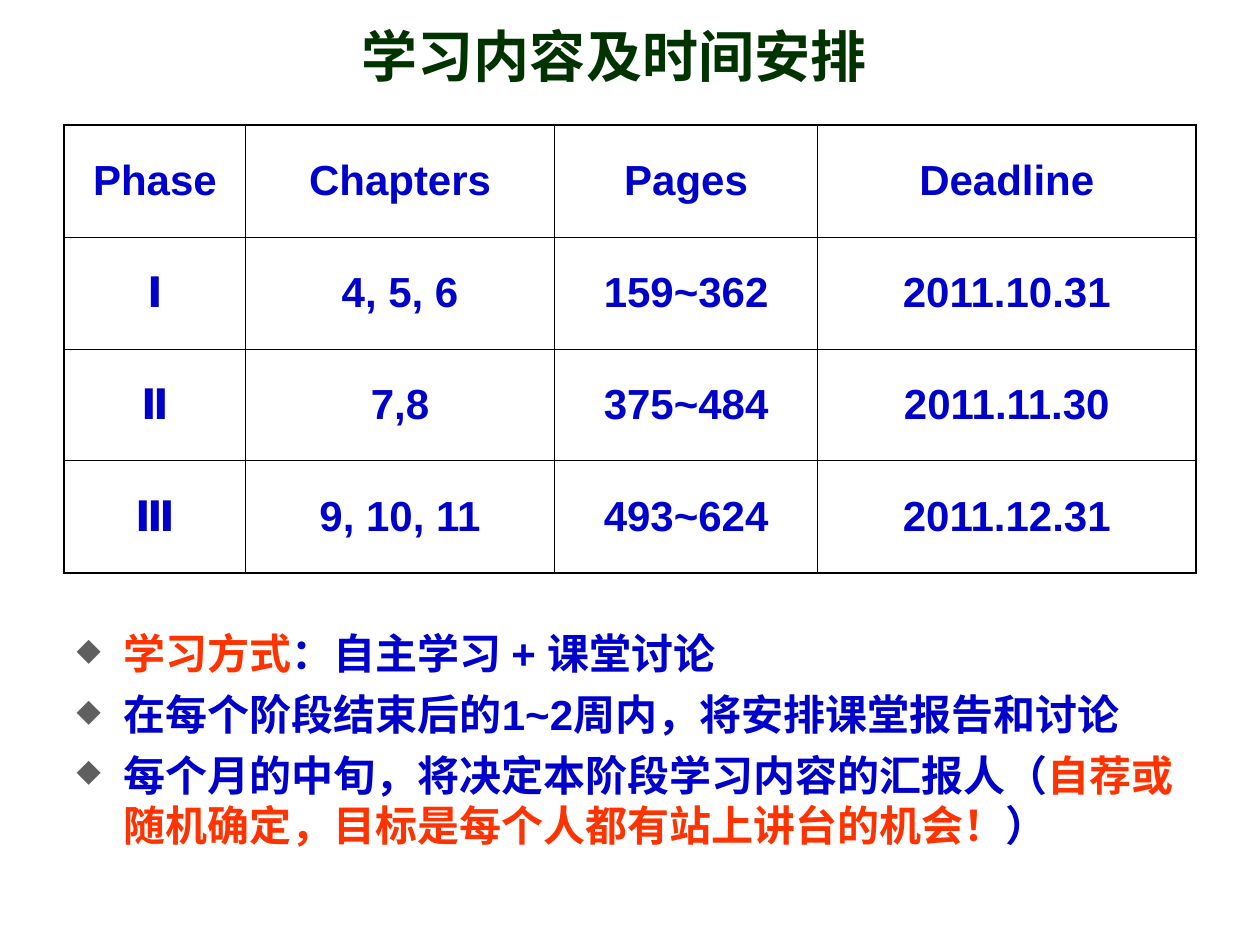
from lxml import etree
from pptx import Presentation
from pptx.dml.color import RGBColor
from pptx.enum.text import MSO_ANCHOR, PP_ALIGN
from pptx.oxml.ns import qn
from pptx.util import Pt

CENTER = PP_ALIGN.CENTER
LEFT = PP_ALIGN.LEFT
MIDDLE = MSO_ANCHOR.MIDDLE
BOTTOM = MSO_ANCHOR.BOTTOM
TOP = MSO_ANCHOR.TOP

GREEN = RGBColor(0x00, 0x33, 0x00)
BLUE = RGBColor(0x00, 0x00, 0xCC)
RED = RGBColor(0xFF, 0x33, 0x00)
GRAY = RGBColor(0x5F, 0x5F, 0x5F)
BLACK = RGBColor(0x00, 0x00, 0x00)

MARGIN = 36.7
COLUMN_WIDTHS = [103.7, 176.4, 150.5, 216]
CONTENT_WIDTH = sum(COLUMN_WIDTHS)
ROW_HEIGHT = 64
INDENT = 27
OUTER_LINE = 1.08
INNER_LINE = 0.45

SCHEDULE = [
    ["Phase", "Chapters", "Pages", "Deadline"],
    ["Ⅰ", "4, 5, 6", "159~362", "2011.10.31"],
    ["Ⅱ", "7,8", "375~484", "2011.11.30"],
    ["Ⅲ", "9, 10, 11", "493~624", "2011.12.31"],
]
NOTES = [
    [("学习方式", RED), ("：自主学习 + 课堂讨论", BLUE)],
    [("在每个阶段结束后的1~2周内，将安排课堂报告和讨论", BLUE)],
    [
        ("每个月的中旬，将决定本阶段学习内容的汇报人（", BLUE),
        ("自荐或随机确定，目标是每个人都有站上讲台的机会！", RED),
        ("）", BLUE),
    ],
]


def style_paragraph(para, size, font_name="Arial", align=LEFT):
    para.alignment = align
    para.font.size = Pt(size)
    para.font.name = font_name
    para.font.bold = True


def add_text_frame(page, left, top, width, height, anchor):
    box = page.shapes.add_textbox(Pt(left), Pt(top), Pt(width), Pt(height))
    frame = box.text_frame
    frame.word_wrap = True
    frame.vertical_anchor = anchor
    return frame


def add_title(page, text):
    para = add_text_frame(page, 57, 8.5, 588, 46, BOTTOM).paragraphs[0]
    para.text = text
    style_paragraph(para, 32, "Montserrat", CENTER)
    para.font.color.rgb = GREEN


def set_border(cell, side, width):
    properties = cell._tc.get_or_add_tcPr()
    line = etree.SubElement(properties, qn(f"a:ln{side}"), w=str(Pt(width)))
    fill = etree.SubElement(line, qn("a:solidFill"))
    etree.SubElement(fill, qn("a:srgbClr"), val=str(BLACK))


def fill_cell(cell, text, outer_sides):
    cell.vertical_anchor = MIDDLE
    para = cell.text_frame.paragraphs[0]
    para.text = text
    style_paragraph(para, 24, align=CENTER)
    para.font.color.rgb = BLUE
    for side in "LRTB":
        set_border(cell, side, OUTER_LINE if side in outer_sides else INNER_LINE)
    cell.fill.background()


def add_schedule(page, rows):
    row_count, column_count = len(rows), len(COLUMN_WIDTHS)
    frame = page.shapes.add_table(
        row_count, column_count, Pt(MARGIN), Pt(71.4),
        Pt(CONTENT_WIDTH), Pt(ROW_HEIGHT * row_count))
    table = frame.table
    table.horz_banding = False
    for column, width in zip(table.columns, COLUMN_WIDTHS):
        column.width = Pt(width)
    for r, values in enumerate(rows):
        table.rows[r].height = Pt(ROW_HEIGHT)
        for c, text in enumerate(values):
            edges = {"L": c == 0, "R": c == column_count - 1,
                     "T": r == 0, "B": r == row_count - 1}
            outer_sides = [side for side, outer in edges.items() if outer]
            fill_cell(table.cell(r, c), text, outer_sides)


def add_bullet(para):
    properties = para._p.get_or_add_pPr()
    properties.set("marL", str(Pt(INDENT)))
    properties.set("indent", str(-Pt(INDENT)))
    color = etree.SubElement(properties, qn("a:buClr"))
    etree.SubElement(color, qn("a:srgbClr"), val=str(GRAY))
    etree.SubElement(properties, qn("a:buSzPct"), val="75000")
    etree.SubElement(properties, qn("a:buChar"), char="◆")


def add_notes_list(page, notes):
    frame = add_text_frame(page, MARGIN, 355, CONTENT_WIDTH, 142, TOP)
    for index, spans in enumerate(notes):
        para = frame.add_paragraph() if index else frame.paragraphs[0]
        if index:
            para.space_before = Pt(6)
        add_bullet(para)
        style_paragraph(para, 24)
        for text, color in spans:
            span = para.add_run()
            span.text = text
            span.font.color.rgb = color


def main():
    deck = Presentation()
    deck.slide_width, deck.slide_height = Pt(720), Pt(540)
    page = deck.slides.add_slide(deck.slide_layouts[6])
    add_title(page, "学习内容及时间安排")
    add_notes_list(page, NOTES)
    add_schedule(page, SCHEDULE)
    deck.save("out.pptx")


if __name__ == "__main__":
    main()
